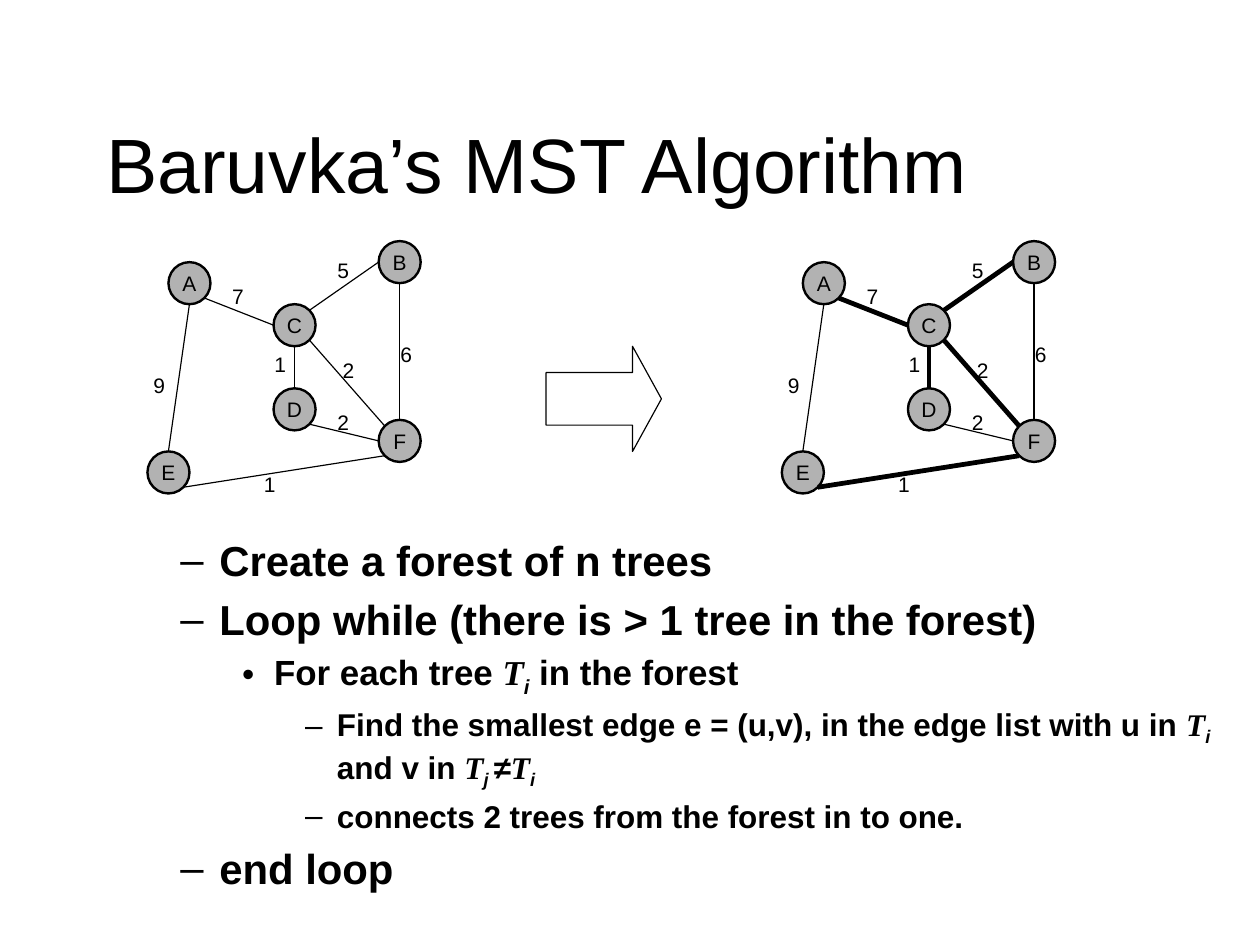
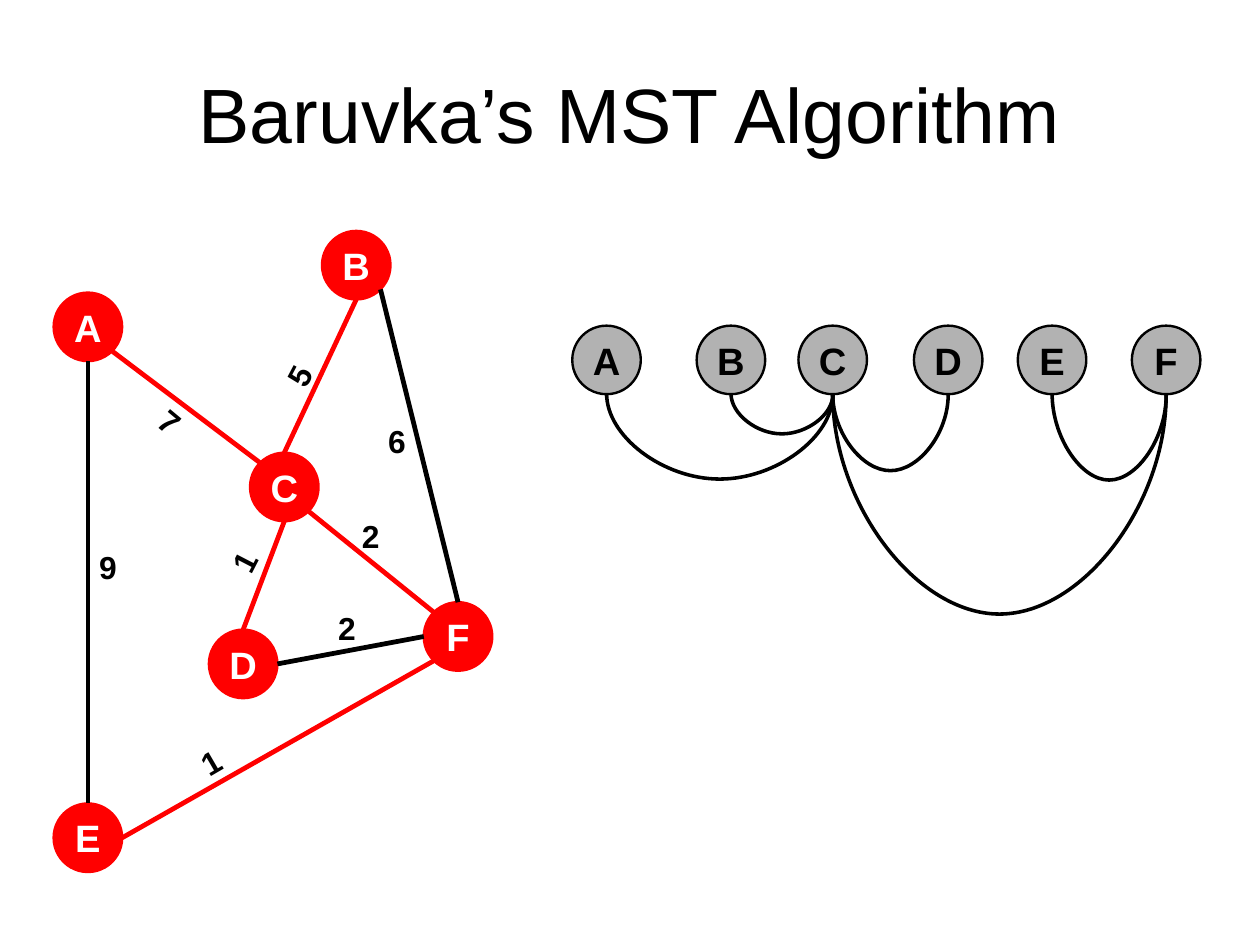
from math import cos, sin, radians
from pptx import Presentation, util as u
from pptx.dml.color import RGBColor
from pptx.enum import shapes, text
from pptx.oxml.ns import qn
from lxml import etree


class Theme:
    """Colours, type sizes and line widths."""
    black, white, grey, red = "000000", "FFFFFF", "B2B2B2", "FF0000"
    sans, serif = "Arial", "Times New Roman"
    title, small, node, label = 48.5, 13.2, 24, 20
    thin, rim, arc, thick = 0.75, 1.5, 2.25, 3
    # level: size, text indent, hanging indent (inches)
    levels = {1: (26.4, 0.9, 0.34), 2: (22, 1.38, 0.28), 3: (19.8, 1.93, 0.28)}


# Look of a graph: cell in inches, node fill, rim, text and type
PLAIN = dict(cell=0.184, fill=Theme.grey, rim=Theme.black,
             ink=Theme.black, size=Theme.small, bold=False)
RED = dict(cell=0.3, fill=Theme.red, rim=Theme.red,
           ink=Theme.white, size=Theme.node, bold=True)
GREY = dict(RED, fill=Theme.grey, rim=Theme.black, ink=Theme.black)


class Deck:
    def __init__(self, wide, high):
        self.prs = Presentation()
        self.wide, self.high = wide, high
        self.prs.slide_width = u.Inches(wide)
        self.prs.slide_height = u.Inches(high)

    # Helpers
    def box(self, x, y, w, h):
        """Percent of the slide to lengths."""
        return [u.Inches(v * side / 100) for v, side in
                zip((x, y, w, h), (self.wide, self.high) * 2)]

    def place(self, shape, *area):
        names = ("left", "top", "width", "height")
        for name, value in zip(names, self.box(*area)):
            setattr(shape, name, value)

    def font(self, run, size, color=Theme.black, **more):
        form = dict(name=Theme.sans, size=u.Pt(size), bold=False)
        for key, value in {**form, **more}.items():
            setattr(run.font, key, value)
        run.font.color.rgb = RGBColor.from_string(color)

    def frame(self, shape, **form):
        for key, value in form.items():
            setattr(shape.text_frame, key, value)
        return shape.text_frame.paragraphs[0]

    def stroke(self, shape, color, width):
        shape.line.color.rgb = RGBColor.from_string(color)
        shape.line.width = u.Pt(width)

    # Slide and text
    def slide(self, layout, title, area, align):
        self.page = self.prs.slides.add_slide(self.prs.slide_layouts[layout])
        head = self.page.shapes.title
        self.place(head, *area)
        para = self.frame(head, auto_size=text.MSO_AUTO_SIZE.NONE,
                          vertical_anchor=text.MSO_ANCHOR.MIDDLE)
        para.alignment = align
        run = para.add_run()
        run.text = title
        self.font(run, Theme.title)

    def body(self, area, lines):
        """Lines are (level, text); |*T| is a variable, |_i| a subscript."""
        hold = self.page.placeholders[1]
        self.place(hold, *area)
        para = self.frame(hold, auto_size=text.MSO_AUTO_SIZE.NONE)
        for i, (level, line) in enumerate(lines):
            if i:
                para = hold.text_frame.add_paragraph()
            para.level = level
            size, left, hang = Theme.levels[level]
            prop = para._p.get_or_add_pPr()
            prop.set("marL", str(u.Inches(left)))
            prop.set("indent", str(-u.Inches(hang)))
            for part in line.split("|"):
                mark = part[0] if part[0] in "*_" else ""
                run = para.add_run()
                run.text = part[len(mark):]
                self.font(run, size, bold=True, italic=bool(mark),
                          name=Theme.serif if mark == "*" else Theme.sans)
                if mark == "_":
                    run.font._element.set("baseline", "-25000")

    # Shapes
    def arrow(self, area):
        shape = self.page.shapes.add_shape(
            shapes.MSO_SHAPE.RIGHT_ARROW, *self.box(*area))
        shape.adjustments[1] = 0.275
        shape.shadow.inherit = False
        shape.fill.background()
        self.stroke(shape, Theme.black, Theme.thin)

    def node(self, name, x, y, look):
        side = u.Inches(2 * look["cell"])
        shape = self.page.shapes.add_shape(
            shapes.MSO_SHAPE.OVAL, u.Inches(x), u.Inches(y), side, side)
        shape.shadow.inherit = False
        shape.fill.solid()
        shape.fill.fore_color.rgb = RGBColor.from_string(look["fill"])
        self.stroke(shape, look["rim"], Theme.rim)
        para = self.frame(shape, word_wrap=False, margin_left=0,
                          margin_right=0, margin_top=0, margin_bottom=0,
                          vertical_anchor=text.MSO_ANCHOR.MIDDLE)
        para.alignment = text.PP_ALIGN.CENTER
        run = para.add_run()
        run.text = name
        self.font(run, look["size"], look["ink"], bold=look["bold"])

    def link(self, kind, ends, color, width):
        line = self.page.shapes.add_connector(kind, *map(u.Inches, ends))
        self.stroke(line, color, width)
        etree.SubElement(line._element.spPr, qn("a:effectLst"))
        return line

    def label(self, word, x, y, turn, bold):
        size, w, h = (Theme.label, 0.36, 0.44) if bold else (Theme.small, 0.31, 0.32)
        shape = self.page.shapes.add_textbox(*map(u.Inches, (x, y, w, h)))
        shape.rotation = turn
        run = self.frame(shape, word_wrap=False).add_run()
        run.text = word
        self.font(run, size, bold=bold)

    # Graphs
    def graph(self, origin, look, nodes, edges=(), pen=None, arcs=()):
        """Nodes, edges and labels in cells from origin (percent).

        An edge end such as A4 is a node and one of its eight sites,
        counted from the top against the clock."""
        cell = look["cell"]
        left, top = origin[0] * self.wide / 100, origin[1] * self.high / 100

        def spot(col, row):
            return left + col * cell, top + row * cell

        def site(end):
            x, y = spot(*nodes[end[0]])
            turn = radians(45 * int(end[1]))
            return x + cell * (1 - sin(turn)), y + cell * (1 - cos(turn))

        for name, pos in nodes.items():
            self.node(name, *spot(*pos), look)
        for a, b, *_ in edges:
            self.link(shapes.MSO_CONNECTOR.STRAIGHT, site(a) + site(b),
                      *pen(a[0] + b[0] in TREE))
        for _, _, word, col, row, *turn in edges:
            self.label(word, *spot(col, row), turn[0] if turn else 0, look["bold"])
        for a, b, depth in arcs:
            self.arc(*site(a + "4"), site(b + "4")[0], depth * cell)

    def arc(self, x, y, end, depth):
        """Hanging curve: an upright one, turned by 270 degrees."""
        mid, half, slim = (x + end) / 2, (end - x) / 2, 0.01
        ends = mid + slim / 2, y - half, mid - slim / 2, y + half
        line = self.link(shapes.MSO_CONNECTOR.CURVE, ends, Theme.black, Theme.arc)
        prop = line._element.spPr
        prop.find(qn("a:xfrm")).set("rot", str(270 * 60000))
        geom = prop.find(qn("a:prstGeom"))
        vals = geom.find(qn("a:avLst"))
        if vals is None:
            vals = etree.SubElement(geom, qn("a:avLst"))
        etree.SubElement(vals, qn("a:gd"), name="adj1",
                         fmla=f"val {round(depth / slim * 100000)}")


# Edges of the minimum spanning tree
TREE = {"AC", "DC", "CF", "EF", "BC"}
TITLE = "Baruvka’s MST Algorithm"

SMALL = dict(E=(0, 10), D=(6, 7), F=(11, 8.5), B=(11, 0), C=(6, 3), A=(1, 1))
PATHS = [
    ("A4", "E0", "9", -0.25, 6), ("A5", "C2", "7", 3.5, 1.75),
    ("D0", "C4", "1", 5.5, 5), ("D5", "F2", "2", 8.5, 7.75),
    ("C5", "F1", "2", 8.75, 5.25), ("E5", "F3", "1", 5, 10.7),
    ("B4", "F0", "6", 11.5, 4.5), ("B2", "C7", "5", 8.5, 0.5),
]
LARGE = dict(E=(0, 16.7), D=(4.53, 11.63), F=(10.8, 10.83),
             B=(7.83, 0), C=(5.73, 6.47), A=(0, 1.8))
ROADS = [
    ("A4", "E0", "9", 1, 9.07), ("A5", "C1", "7", 2.8, 4.83, 39.9),
    ("D0", "C4", "1", 4.97, 8.9, 297.2), ("D6", "F2", "2", 7.97, 10.87),
    ("C5", "F1", "2", 8.67, 8.17), ("E6", "F3", "1", 4, 14.77, 329.8),
    ("B5", "F0", "6", 9.43, 5.4), ("B4", "C0", "5", 6.57, 3.5, 297.8),
]
CHAIN = {name: (col, 0) for name, col in
         zip("ABCDEF", (0, 3.63, 6.6, 9.97, 13, 16.33))}
ARCS = [("A", "C", 2.53), ("B", "C", 1.19), ("C", "D", 2.28),
        ("E", "F", 2.56), ("C", "F", 6.53)]
STEPS = [
    (1, "Create a forest of n trees"),
    (1, "Loop while (there is > 1 tree in the forest)"),
    (2, "For each tree |*T|_i| in the forest"),
    (3, "Find the smallest edge e = (u,v), in the edge list with u in "
        "|*T|_i| and v in |*T|_j |≠|*T|_i"),
    (3, "connects 2 trees from the forest in to one."),
    (1, "end loop"),
]


def main():
    deck = Deck(11.03, 8.26)

    # Slide 1: graph, its tree and the steps
    deck.slide(1, TITLE, (7.52, 8.84, 84.95, 16.71), text.PP_ALIGN.LEFT)
    deck.body((8.34, 56.05, 91.57, 41.77), STEPS)
    deck.graph((11.7, 25.54), PLAIN, SMALL, PATHS,
               lambda tree: (Theme.black, Theme.thin))
    deck.graph((62.05, 25.54), PLAIN, SMALL, PATHS,
               lambda tree: (Theme.black, Theme.thick if tree else Theme.thin))
    deck.arrow((43.34, 36.68, 9.16, 11.14))

    # Slide 2: tree in red, and its links in a row
    deck.slide(5, TITLE, (5, 5.33, 89.85, 13.32), text.PP_ALIGN.CENTER)
    deck.graph((4.26, 24.46), RED, LARGE, ROADS,
               lambda tree: (Theme.red if tree else Theme.black, Theme.thick))
    deck.graph((45.42, 34.5), GREY, CHAIN, arcs=ARCS)

    deck.prs.save("out.pptx")


if __name__ == "__main__":
    main()
